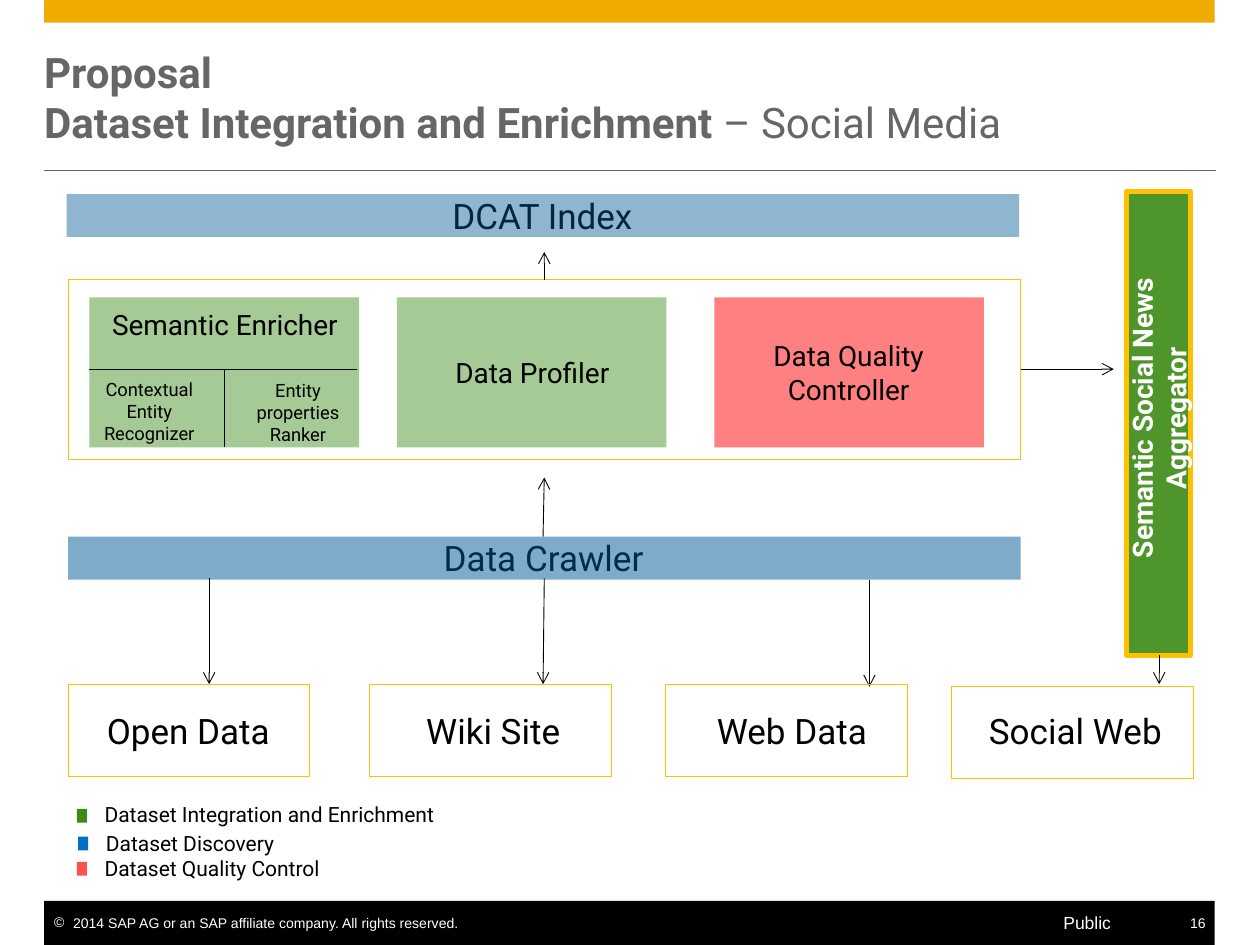
from dataclasses import dataclass
from typing import Optional

from lxml import etree
from pptx import Presentation
from pptx.dml.color import RGBColor
from pptx.enum.shapes import MSO_CONNECTOR, MSO_SHAPE
from pptx.enum.text import MSO_ANCHOR, MSO_AUTO_SIZE, PP_ALIGN
from pptx.oxml.ns import qn
from pptx.util import Inches, Pt

RECT = MSO_SHAPE.RECTANGLE
LINE = MSO_CONNECTOR.STRAIGHT
TOP, MID = MSO_ANCHOR.TOP, MSO_ANCHOR.MIDDLE
LEFT, MIDST, RIGHT = PP_ALIGN.LEFT, PP_ALIGN.CENTER, PP_ALIGN.RIGHT
NOFIT = MSO_AUTO_SIZE.NONE

WIDE, HIGH = Inches(10), Inches(7.5)
COL, ROW = WIDE / 100, HIGH / 75

BLACK, WHITE, GRAY = "000000", "FFFFFF", "666666"
GREEN, RED, BLUE, NAVY = "3B8A15", "FF5050", "0070C0", "005998"
GOLD, AMBER = "F0AB00", "FFC000"
SANS, MAIN = "Arial", "Roboto"


@dataclass
class Box:
    col: float
    row: float
    wide: float
    high: float
    fill: Optional[str] = None
    alpha: int = 100
    line: Optional[str] = None
    width: float = 0.5


@dataclass
class Label:
    text: str
    col: float
    row: float
    wide: float
    high: float
    size: float = 20
    align: PP_ALIGN = MIDST
    color: str = BLACK
    font: str = MAIN
    bold: bool = False
    turn: bool = False
    wrap: bool = True


@dataclass
class Link:
    col: float
    row: float
    col2: float
    row2: float
    head: bool = True
    color: str = BLACK


def paint(target, color: str) -> None:
    target.rgb = RGBColor.from_string(color)


def place(col: float, row: float, wide: float, high: float) -> tuple:
    return round(col * COL), round(row * ROW), round(wide * COL), round(high * ROW)


def add_run(para, text: str, size: float, color: str, font: str, bold: bool) -> None:
    run = para.add_run()
    run.text = text
    run.font.size = Pt(size)
    run.font.name = font
    run.font.bold = bold
    paint(run.font.color, color)


def trim(frame, anchor) -> None:
    frame.margin_left = frame.margin_right = frame.margin_top = frame.margin_bottom = 0
    frame.auto_size = NOFIT
    frame.vertical_anchor = anchor


def draw_box(slide, box: Box) -> None:
    shape = slide.shapes.add_shape(RECT, *place(box.col, box.row, box.wide, box.high))
    shape.shadow.inherit = False
    if box.fill:
        shape.fill.solid()
        paint(shape.fill.fore_color, box.fill)
        if box.alpha < 100:
            tint = shape.fill._xPr.find(qn("a:solidFill"))[0]
            etree.SubElement(tint, qn("a:alpha")).set("val", str(box.alpha * 1000))
    else:
        shape.fill.background()
    if box.line:
        paint(shape.line.color, box.line)
        shape.line.width = Pt(box.width)
    else:
        shape.line.fill.background()


def draw_label(slide, label: Label):
    shape = slide.shapes.add_textbox(*place(label.col, label.row, label.wide, label.high))
    frame = shape.text_frame
    trim(frame, MID if label.turn else TOP)
    frame.word_wrap = label.wrap
    if label.turn:
        frame._txBody.bodyPr.set("vert", "vert270")
    para = frame.paragraphs[0]
    para.alignment = label.align
    add_run(para, label.text, label.size, label.color, label.font, label.bold)
    return frame


def draw_link(slide, link: Link) -> None:
    start = place(link.col, link.row, link.col2, link.row2)
    wire = slide.shapes.add_connector(LINE, *start)
    paint(wire.line.color, link.color)
    wire.line.width = Pt(0.5)
    if link.head:
        etree.SubElement(wire.line._get_or_add_ln(), qn("a:tailEnd")).set("type", "arrow")
    etree.SubElement(wire._element.spPr, qn("a:effectLst"))


def draw_title(slide) -> None:
    title = slide.shapes.title
    title.left, title.top, title.width, title.height = place(3.5, 3.5, 92.9, 8.3)
    trim(title.text_frame, MID)
    para = title.text_frame.paragraphs[0]
    para.alignment = LEFT
    add_run(para, "Proposal", 24, GRAY, MAIN, True)
    para.add_line_break()
    add_run(para, "Dataset Integration and Enrichment ", 24, GRAY, MAIN, True)
    add_run(para, "– Social Media", 24, GRAY, MAIN, False)


def draw_frame(slide) -> None:
    draw_box(slide, Box(3.5, 0, 92.9, 1.8, GOLD))
    draw_link(slide, Link(3.5, 13.5, 96.5, 13.5, False, GRAY))
    draw_box(slide, Box(3.5, 71.5, 92.9, 3.5, BLACK))
    note = draw_label(slide, Label(
        "2014 SAP AG or an SAP affiliate company. All rights reserved.",
        3.5, 72.6, 33.5, 1.3, 8, LEFT, WHITE, SANS, wrap=False))
    note.margin_left = Inches(0.08)
    props = note.paragraphs[0]._p.get_or_add_pPr()
    props.set("marL", str(Inches(0.15)))
    props.set("indent", str(-Inches(0.15)))
    tint = etree.SubElement(props, qn("a:buClr"))
    etree.SubElement(tint, qn("a:srgbClr")).set("val", WHITE)
    etree.SubElement(props, qn("a:buFont")).set("typeface", SANS)
    etree.SubElement(props, qn("a:buChar")).set("char", "©")
    page = draw_label(slide, Label("16", 94.3, 72.6, 2.2, 1.3, 8, RIGHT, WHITE, SANS, wrap=False))
    page.margin_right = Inches(0.08)
    draw_label(slide, Label("Public", 84.4, 72.4, 9, 1.7, 10, LEFT, WHITE, SANS))


def draw_flow(slide) -> None:
    parts = [
        Label("DCAT Index", 33.2, 15.4, 19.7, 3.4),
        Box(5.3, 15.4, 75.6, 3.4, NAVY, 44),
        Label("Data Crawler", 33.3, 42.6, 19.7, 3.4),
        Box(5.4, 42.6, 75.6, 3.4, NAVY, 50),
        Box(5.4, 22.2, 75.6, 14.3, line=AMBER),
        *(Box(col, 23.6, 21.4, 11.9, fill, alpha)
          for col, fill, alpha in ((7.1, GREEN, 45), (31.5, GREEN, 45), (56.7, RED, 72))),
        Label("Semantic Enricher", 7.6, 24.4, 20.5, 2.7, 16),
        Label("Data Profiler", 33.5, 28.2, 17.5, 2.7, 16),
        Label("Data Quality Controller", 58.6, 26.9, 17.5, 5.4, 16),
        Label("Contextual Entity Recognizer", 7.1, 30, 9.5, 5.3, 10.5),
        Label("Entity properties Ranker", 19.1, 30.1, 9.1, 5.3, 10.5),
        Link(17.8, 29.3, 17.8, 35.5, False),
        Link(7.1, 29.3, 28.3, 29.3, False),
        Box(89.4, 15.2, 5.1, 36.8, GREEN, 90, AMBER, 3),
        Label("Semantic Social News Aggregator", 90.6, 16.4, 2.7, 33.6, 16,
              color=WHITE, bold=True, turn=True),
        Link(43.2, 45.9, 43.1, 54.3),
        Link(69, 46, 69, 54.5),
        Link(16.6, 45.9, 16.6, 54.3),
        Link(43.1, 42.6, 43.2, 37.9),
        Link(43.2, 22.2, 43.2, 20),
        Link(92, 52, 92, 54.3),
        Link(81, 29.3, 88.4, 29.3),
    ]
    tools = {Box: draw_box, Label: draw_label, Link: draw_link}
    for part in parts:
        tools[type(part)](slide, part)


def draw_feeds(slide) -> None:
    for text, col, row, start in (("Open Data", 5.4, 54.3, 5.1), ("Wiki Site", 29.3, 54.3, 29.3),
                                  ("Web Data", 52.8, 54.3, 53), ("Social Web", 75.5, 54.5, 75.5)):
        draw_box(slide, Box(col, row, 19.2, 7.3, line=AMBER))
        draw_label(slide, Label(text, start, 56.3, 19.7, 3.4))


def draw_key(slide) -> None:
    for text, fill, col, row, mark in (
            ("Dataset Integration and Enrichment", GREEN, 6.1, 63.6, 64.2),
            ("Dataset Discovery", BLUE, 6.2, 65.9, 66.4),
            ("Dataset Quality Control", RED, 6.1, 67.9, 68.4)):
        draw_box(slide, Box(col, mark, 0.8, 1.1, fill))
        draw_label(slide, Label(text, col + 2.2, row, 39.5, 2, 12, LEFT))


def main() -> None:
    deck = Presentation()
    deck.slide_width, deck.slide_height = WIDE, HIGH
    slide = deck.slides.add_slide(deck.slide_layouts[5])
    for draw in (draw_frame, draw_title, draw_flow, draw_feeds, draw_key):
        draw(slide)
    deck.save("out.pptx")


if __name__ == "__main__":
    main()
